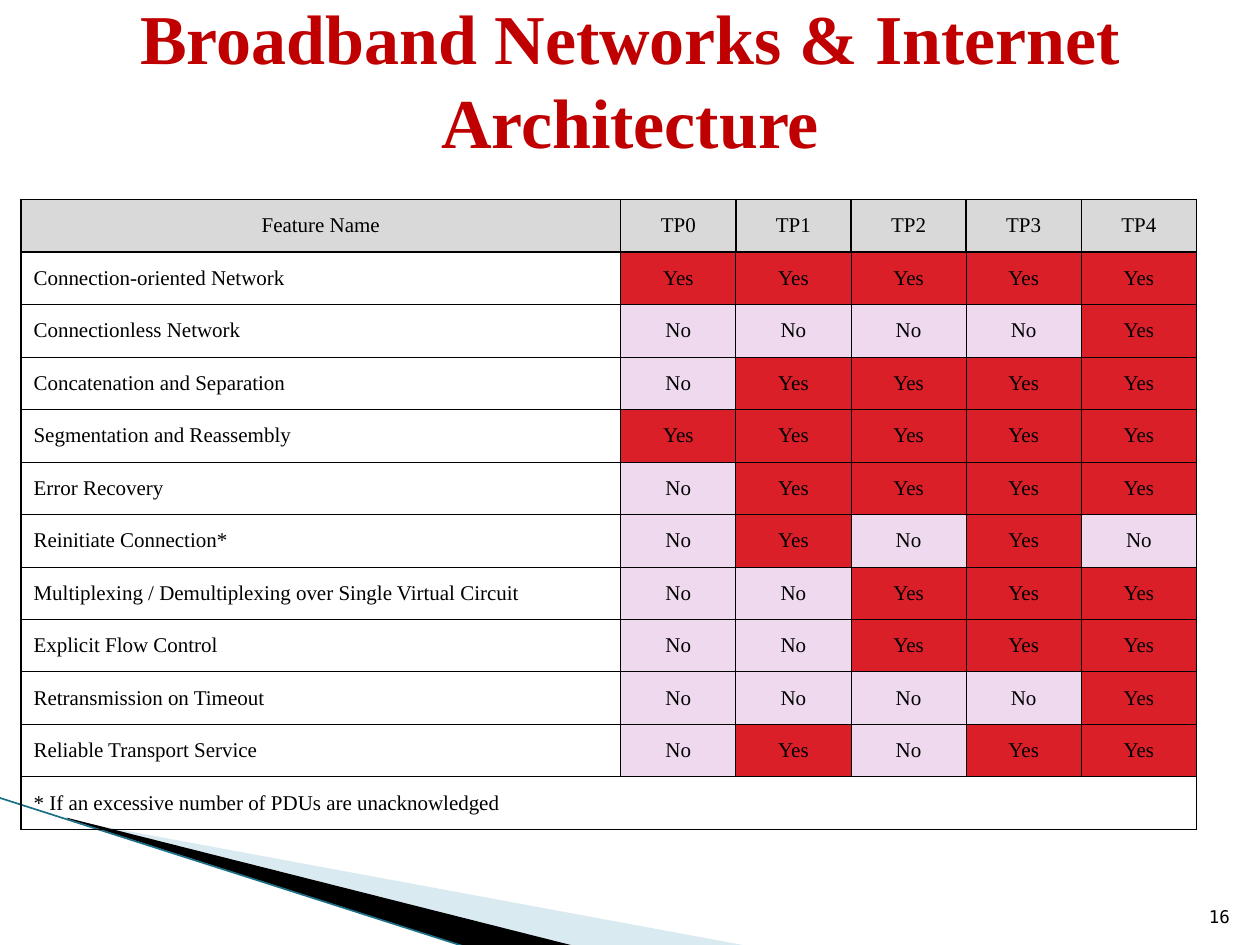
from lxml import etree
from pptx import Presentation
from pptx.dml.color import RGBColor
from pptx.enum.shapes import MSO_CONNECTOR
from pptx.enum.text import MSO_ANCHOR, MSO_AUTO_SIZE, PP_ALIGN
from pptx.oxml.ns import qn
from pptx.util import Inches, Pt

LEFT, CENTER, RIGHT = PP_ALIGN.LEFT, PP_ALIGN.CENTER, PP_ALIGN.RIGHT
MIDDLE, BOTTOM = MSO_ANCHOR.MIDDLE, MSO_ANCHOR.BOTTOM
NO_FIT = MSO_AUTO_SIZE.NONE
STRAIGHT = MSO_CONNECTOR.STRAIGHT

SLIDE_W, SLIDE_H = 10, 7.5
SERIF, MONO = "Times New Roman", "DejaVu Sans Mono"
TITLE = "Broadband Networks & Internet Architecture"
PAGE = "16"
HEADER = ["Feature Name", "TP0", "TP1", "TP2", "TP3", "TP4"]
FEATURES = [
    ("Connection-oriented Network", "YYYYY"),
    ("Connectionless Network", "NNNNY"),
    ("Concatenation and Separation", "NYYYY"),
    ("Segmentation and Reassembly", "YYYYY"),
    ("Error Recovery", "NYYYY"),
    ("Reinitiate Connection*", "NYNYN"),
    ("Multiplexing / Demultiplexing over Single Virtual Circuit", "NNYYY"),
    ("Explicit Flow Control", "NNYYY"),
    ("Retransmission on Timeout", "NNNNY"),
    ("Reliable Transport Service", "NYNYY"),
]
FOOTNOTE = "* If an excessive number of PDUs are unacknowledged"
ANSWERS = {"Y": "Yes", "N": "No"}
FILLS = {"Yes": "DA1F28", "No": "EED9EF"}
HEADER_FILL = "D9D9D9"

TABLE_X, TABLE_Y = SLIDE_W / 60, SLIDE_H * 19 / 90
TABLE_W, TABLE_H = 9.33, 5
FEATURE_W = 4.76
WEDGES = [
    ((0.78, 5.47, 4.16, 1.58),
     [(0.55, 6.51), (5.95, 7.51), (4.56, 7.51), (0.55, 6.5)], "A0CBDC", 40),
    ((-0.06, 6.33, 4.16, 0.92),
     [(0.53, 6.49), (4.57, 7.51), (3.72, 7.52), (0.54, 6.5)], "000000", 100),
]
EDGE = [(-0.01, 6.33), (3.71, 7.52)]
EDGE_COLOR = "1B6F86"


def rgb(value):
    return RGBColor.from_string(value)


def write(tf, text, size=12, font=SERIF, color="000000", bold=False,
          align=LEFT):
    p = tf.paragraphs[0]
    p.alignment = align
    r = p.add_run()
    r.text = text
    r.font.size, r.font.name, r.font.bold = Pt(size), font, bold
    r.font.color.rgb = rgb(color)


def place(sp, x, y, w, h):
    sp.left, sp.top, sp.width, sp.height = map(Inches, (x, y, w, h))


def set_frame(sp, frame):
    dx, dy = sp.left - Inches(frame[0]), sp.top - Inches(frame[1])
    place(sp, *frame)
    outline = sp._element.find(".//" + qn("a:path"))
    outline.set("w", str(sp.width))
    outline.set("h", str(sp.height))
    for pt in outline.iter(qn("a:pt")):
        pt.set("x", str(int(pt.get("x")) + dx))
        pt.set("y", str(int(pt.get("y")) + dy))


def add_wedge(slide, frame, points, color, alpha):
    (x, y), *rest = [(Inches(px), Inches(py)) for px, py in points]
    builder = slide.shapes.build_freeform(x, y)
    builder.add_line_segments(rest, close=True)
    sp = builder.convert_to_shape()
    set_frame(sp, frame)
    sp.shadow.inherit = False
    sp.line.fill.background()
    sp.fill.solid()
    sp.fill.fore_color.rgb = rgb(color)
    if alpha < 100:
        clr = sp._element.spPr.find(".//" + qn("a:srgbClr"))
        etree.SubElement(clr, qn("a:alpha"), val=str(alpha * 1000))


def add_edge(slide):
    (x1, y1), (x2, y2) = EDGE
    line = slide.shapes.add_connector(STRAIGHT, *map(Inches, (x1, y1, x2, y2)))
    line.line.color.rgb = rgb(EDGE_COLOR)
    line.line.width = Pt(0.95)
    etree.SubElement(line._element.spPr, qn("a:effectLst"))


def set_borders(cell, widths):
    tc_pr = cell._tc.get_or_add_tcPr()
    for i, (side, width) in enumerate(widths.items()):
        ln = etree.Element(qn("a:ln" + side), w=str(Pt(width)))
        fill = etree.SubElement(ln, qn("a:solidFill"))
        etree.SubElement(fill, qn("a:srgbClr"), val="000000")
        tc_pr.insert(i, ln)


def add_feature_table(slide):
    rows = [HEADER]
    rows += [[name] + [ANSWERS[c] for c in flags] for name, flags in FEATURES]
    rows.append([FOOTNOTE] + [""] * (len(HEADER) - 1))
    n_rows, n_cols = len(rows), len(HEADER)
    frame = slide.shapes.add_table(
        n_rows, n_cols, *map(Inches, (TABLE_X, TABLE_Y, TABLE_W, TABLE_H)))
    table = frame.table
    table.first_row = table.horz_banding = False
    class_w = (TABLE_W - FEATURE_W) / (n_cols - 1)
    for c, col in enumerate(table.columns):
        col.width = Inches(class_w if c else FEATURE_W)
    for row in table.rows:
        row.height = Inches(TABLE_H / n_rows)

    last_row, last_col = n_rows - 1, n_cols - 1
    for r, row in enumerate(rows):
        for c, text in enumerate(row):
            cell = table.cell(r, c)
            cell.vertical_anchor = MIDDLE
            cell.margin_left = cell.margin_right = Inches(0.1)
            cell.margin_top = cell.margin_bottom = Inches(0.03)
            fill = HEADER_FILL if r == 0 else FILLS.get(text)
            if fill:
                cell.fill.solid()
                cell.fill.fore_color.rgb = rgb(fill)
            else:
                cell.fill.background()
            heavy = {"L": c == 0 or r == 0, "R": c == last_col or r == 0,
                     "T": r <= 1, "B": r in (0, last_row)}
            set_borders(cell, {s: 1 if on else 0.5 for s, on in heavy.items()})
            if text:
                write(cell.text_frame, text,
                      align=CENTER if r == 0 or c else LEFT)
    table.cell(last_row, 0).merge(table.cell(last_row, last_col))


def main():
    prs = Presentation()
    prs.slide_width, prs.slide_height = Inches(SLIDE_W), Inches(SLIDE_H)
    slide = prs.slides.add_slide(prs.slide_layouts[5])
    for wedge in WEDGES:
        add_wedge(slide, *wedge)
    add_edge(slide)

    title = slide.shapes.title
    place(title, 0.5, 0, 9, 1.25)
    tf = title.text_frame
    tf.word_wrap, tf.auto_size, tf.vertical_anchor = True, NO_FIT, MIDDLE
    write(tf, TITLE, size=40, color="C00000", bold=True, align=CENTER)

    number = slide.shapes.add_textbox(*map(Inches, (9.46, 7.01, 0.4, 0.4)))
    tf = number.text_frame
    tf.word_wrap, tf.vertical_anchor = True, BOTTOM
    write(tf, PAGE, size=10, font=MONO, align=RIGHT)

    add_feature_table(slide)
    prs.save("out.pptx")


if __name__ == "__main__":
    main()
